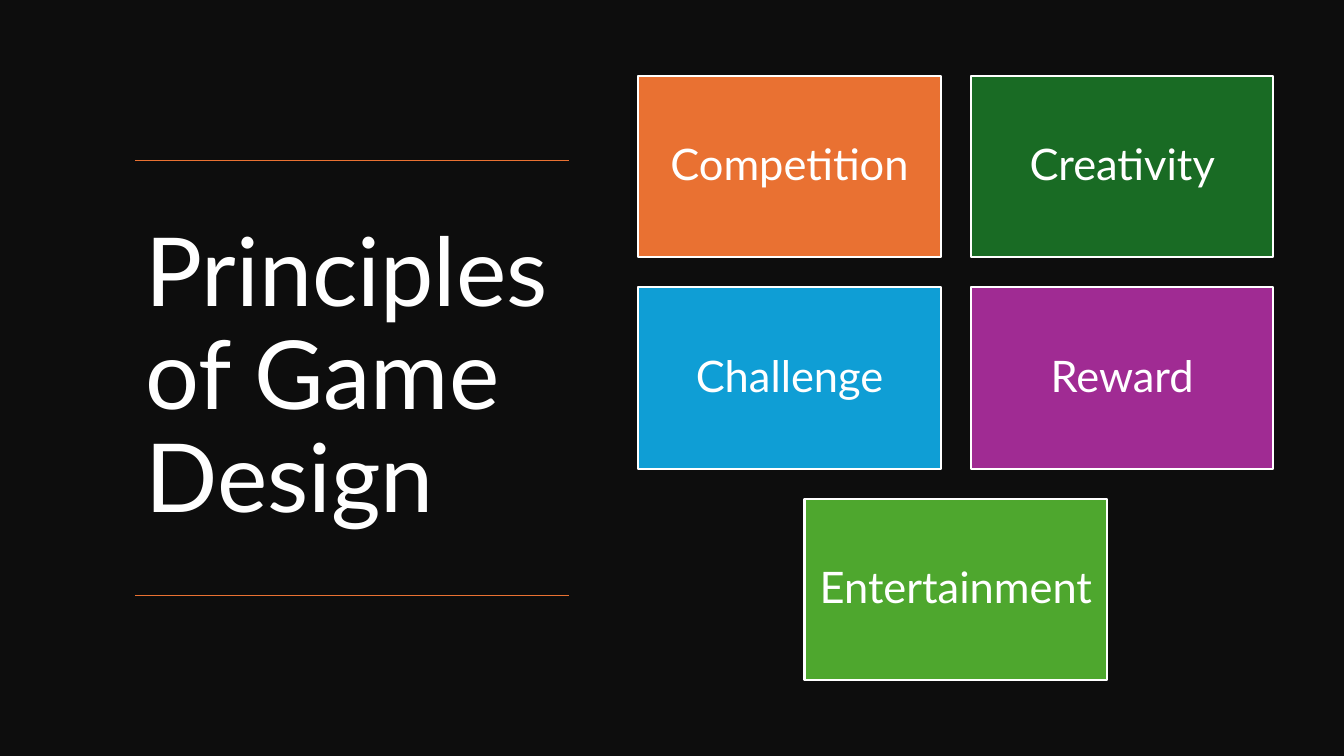
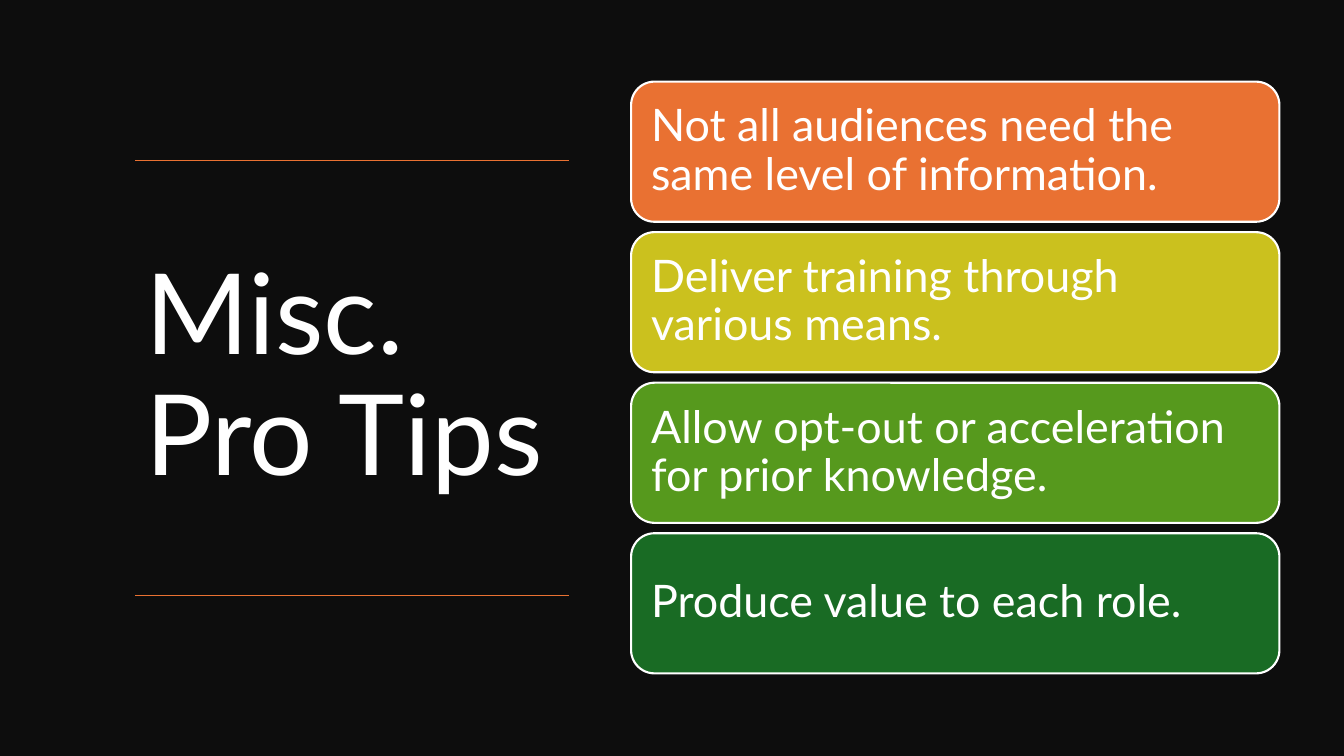
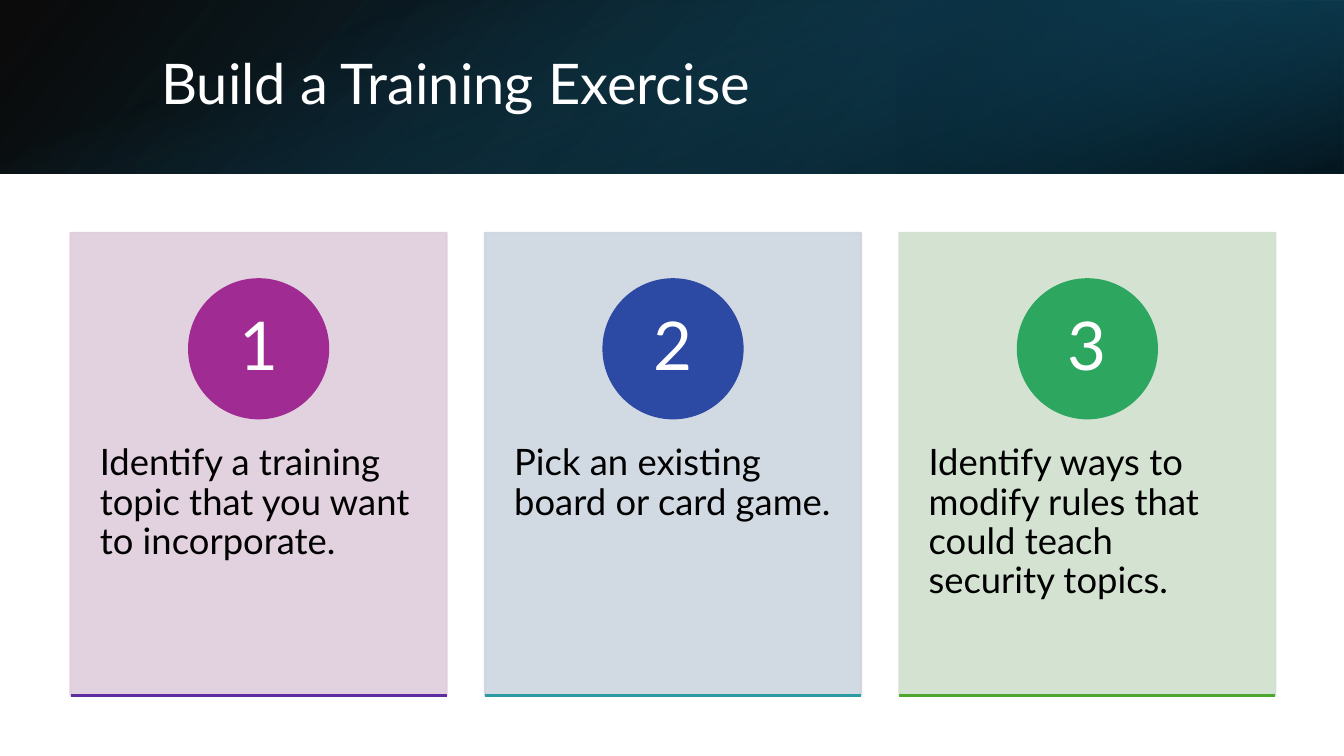
from dataclasses import dataclass

from pptx import Presentation
from pptx.dml.color import RGBColor
from pptx.enum.shapes import MSO_CONNECTOR as CONN, MSO_SHAPE as SHAPE
from pptx.enum.text import MSO_ANCHOR as ANCHOR, MSO_AUTO_SIZE as AUTO, PP_ALIGN as ALIGN
from pptx.oxml.ns import qn
from pptx.oxml.xmlchemy import OxmlElement
from pptx.util import Emu, Pt


@dataclass(frozen=True)
class Theme:
    font: str = "Lato"
    # Colours
    dark: str = "0D0D0D"
    white: str = "FFFFFF"
    black: str = "000000"
    orange: str = "E97132"
    forest: str = "196B24"
    sky: str = "0F9ED5"
    purple: str = "A02B93"
    green: str = "4EA72E"
    mustard: str = "CBC11E"
    olive: str = "56991D"
    violet: str = "5F2CA1"
    blue: str = "2C49A3"
    teal: str = "2D9AA4"
    emerald: str = "2DA65F"
    pale_pink: str = "DFCDDC"
    pale_blue: str = "CDD6E0"
    pale_green: str = "D0E1CD"
    deep_blue: str = "104862"
    night: str = "0B3041"
    ocean: str = "156082"
    # Type sizes and line widths in points
    tile: int = 31
    tip: int = 32
    step: int = 26
    number: int = 48
    heading: int = 40
    rule: float = 1
    border: float = 1.5


T = Theme()
SLIDE_W, SLIDE_H = 1333, 750


def px(n):
    """Turn px (100 to the inch) into EMU."""
    return Emu(round(n * 9144))


def rgb(value):
    return RGBColor.from_string(value)


# Basic elements

def set_alpha(clr, percent):
    alpha = OxmlElement("a:alpha")
    alpha.set("val", str(percent * 1000))
    clr.append(alpha)


def write(shape, text, size, color, align=ALIGN.LEFT, anchor=ANCHOR.MIDDLE,
          insets=(10, 5, 10, 5)):
    tf = shape.text_frame
    tf.word_wrap = True
    tf.auto_size = AUTO.NONE
    tf.vertical_anchor = anchor
    tf.margin_left, tf.margin_top, tf.margin_right, tf.margin_bottom = map(px, insets)
    p = tf.paragraphs[0]
    p.alignment = align
    p.line_spacing = 0.9
    r = p.add_run()
    r.text = text
    r.font.name, r.font.size = T.font, Pt(size)
    r.font.color.rgb = rgb(color)


def add_box(slide, kind, box, fill, line, alpha=None):
    sp = slide.shapes.add_shape(kind, *map(px, box))
    sp.shadow.inherit = False
    sp.fill.solid()
    sp.fill.fore_color.rgb = rgb(fill)
    sp.line.color.rgb = rgb(line)
    sp.line.width = Pt(T.border)
    if alpha:
        for clr in sp.element.spPr.iter(qn("a:srgbClr")):
            set_alpha(clr, alpha)
    return sp


def add_rule(slide, x, y, width, color, weight):
    line = slide.shapes.add_connector(CONN.STRAIGHT, px(x), px(y), px(x + width), px(y))
    line.line.color.rgb = rgb(color)
    line.line.width = Pt(weight)
    line.element.spPr.append(OxmlElement("a:effectLst"))


def add_gradient(slide, box, stops, angle, rotation=0, flip=False):
    """Each stop is (position, colour, opacity), all in percent; angle is clockwise."""
    sp = slide.shapes.add_shape(SHAPE.RECTANGLE, *map(px, box))
    sp.shadow.inherit = False
    sp.line.fill.background()
    sp.rotation = rotation
    if flip:
        sp.element.spPr.find(qn("a:xfrm")).set("flipH", "1")
    sp.fill.gradient()
    sp.fill.gradient_angle = 360 - angle
    for stop, (position, color, _) in zip(sp.fill.gradient_stops, stops):
        stop.position = position / 100
        stop.color.rgb = rgb(color)
    for clr, (_, _, opacity) in zip(sp.element.spPr.iter(qn("a:srgbClr")), stops):
        set_alpha(clr, opacity)


# Shared slide parts

def new_slide(prs):
    return prs.slides.add_slide(prs.slide_layouts[5])


def set_title(slide, text, size, box):
    title = slide.shapes.title
    title.left, title.top, title.width, title.height = map(px, box)
    write(title, text, size, T.white)
    slide.shapes.element.append(title.element)  # keep the title above any band


def dark_slide(prs, title, size):
    slide = new_slide(prs)
    slide.background.fill.solid()
    slide.background.fill.fore_color.rgb = rgb(T.dark)
    x, y, width, height = 134, 159, 430, 433
    set_title(slide, title, size, (x, y, width, height))
    for rule_y in (y, y + height - 1):
        add_rule(slide, x, rule_y, width, T.orange, T.rule)
    return slide


def add_band(slide):
    height = 172
    add_gradient(slide, (0, 0, SLIDE_W, height),
                 [(0, T.black, 96), (100, T.deep_blue, 100)], 140, flip=True)
    add_gradient(slide, (889, 0, 444, height),
                 [(19, T.night, 68), (100, T.ocean, 79)], 320, rotation=180, flip=True)
    add_gradient(slide, (580, -580, height, SLIDE_W),
                 [(23, T.ocean, 0), (99, T.black, 74)], 340, rotation=90)


# Slides

def principles(prs):
    slide = dark_slide(prs, "Principles of Game Design", 68)
    rows = [
        [("Competition", T.orange), ("Creativity", T.forest)],
        [("Challenge", T.sky), ("Reward", T.purple)],
        [("Entertainment", T.green)],
    ]
    width, height, gap, center = 300, 180, 30, 948
    for i, row in enumerate(rows):
        left = center - (len(row) * (width + gap) - gap) // 2
        for j, (text, color) in enumerate(row):
            box = (left + j * (width + gap), 75 + i * (height + gap), width, height)
            tile = add_box(slide, SHAPE.RECTANGLE, box, color, T.white)
            write(tile, text, T.tile, T.white, ALIGN.CENTER, insets=(13,) * 4)


def pro_tips(prs):
    slide = dark_slide(prs, "Misc. Pro Tips", 80)
    tips = [
        ("Not all audiences need the same level of information.", T.orange),
        ("Deliver training through various means.", T.mustard),
        ("Allow opt-out or acceleration for prior knowledge.", T.olive),
        ("Produce value to each role.", T.forest),
    ]
    first, last = 81, 529
    pitch = (last - first) / (len(tips) - 1)
    for i, (text, color) in enumerate(tips):
        box = (626, first + i * pitch, 643, 139)
        bar = add_box(slide, SHAPE.ROUNDED_RECTANGLE, box, color, T.white)
        write(bar, text, T.tip, T.white, insets=(13,) * 4)


def training_exercise(prs):
    slide = new_slide(prs)
    add_band(slide)
    set_title(slide, "Build a Training Exercise", T.heading, (150, 38, 1098, 96))
    steps = [
        ("Identify a training topic that you want to incorporate.",
         T.pale_pink, T.purple, T.violet),
        ("Pick an existing board or card game.",
         T.pale_blue, T.blue, T.teal),
        ("Identify ways to modify rules that could teach security topics.",
         T.pale_green, T.emerald, T.green),
    ]
    top, width, height, gap, disc = 231, 373, 459, 38, 138
    for i, (text, pale, strong, base) in enumerate(steps):
        x = 70 + i * (width + gap)
        card = add_box(slide, SHAPE.RECTANGLE, (x, top, width, height), pale, pale, alpha=90)
        write(card, text, T.step, T.black, anchor=ANCHOR.TOP, insets=(29, 210, 29, 36))
        box = (x + (width - disc) / 2, top + 46, disc, disc)
        badge = add_box(slide, SHAPE.OVAL, box, strong, strong)
        write(badge, str(i + 1), T.number, T.white, ALIGN.CENTER, insets=(11, 1, 11, 1))
        add_rule(slide, x, top + height, width, base, T.border)


def main():
    prs = Presentation()
    prs.slide_width, prs.slide_height = px(SLIDE_W), px(SLIDE_H)
    principles(prs)
    pro_tips(prs)
    training_exercise(prs)
    prs.save("out.pptx")


if __name__ == "__main__":
    main()
